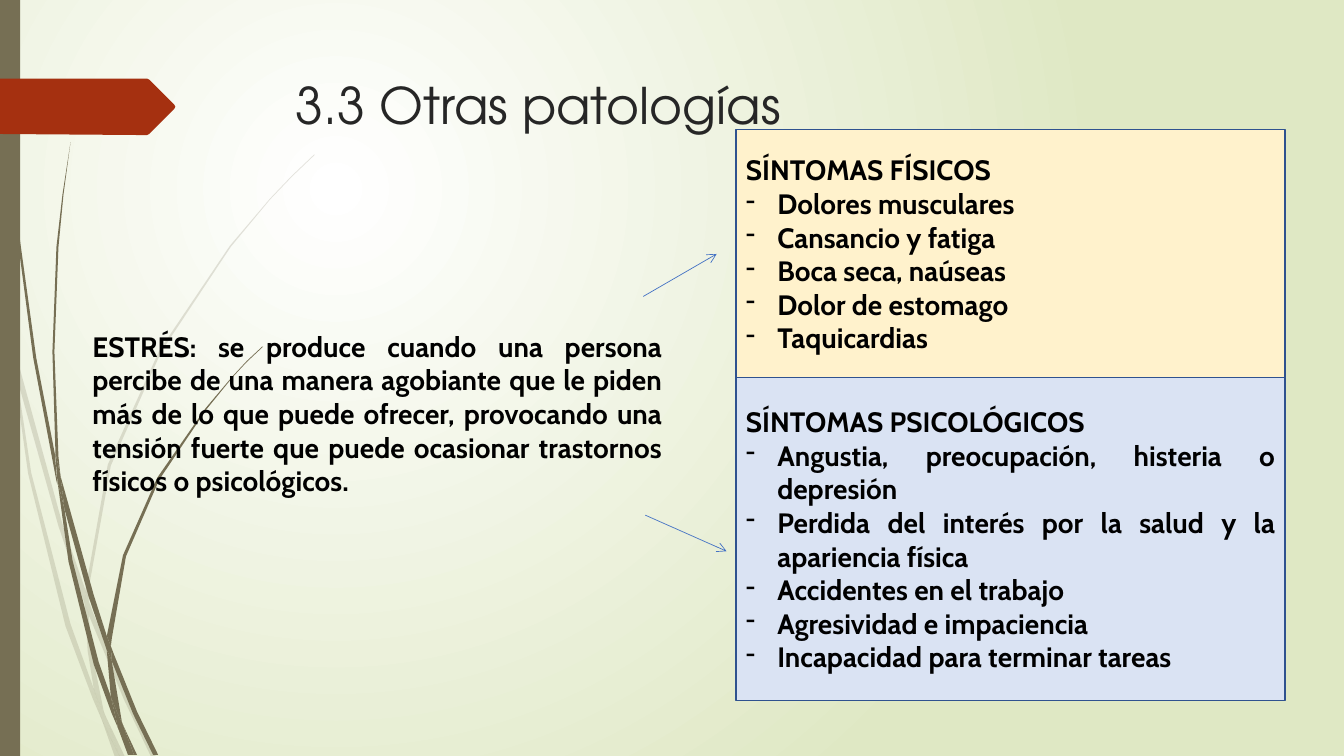
"""Build the slide on stress and its physical and psychological symptoms."""
from dataclasses import dataclass

from lxml.etree import SubElement
from pptx import Presentation
from pptx.dml.color import RGBColor
from pptx.enum.shapes import MSO_CONNECTOR, MSO_SHAPE
from pptx.enum.text import MSO_ANCHOR, MSO_AUTO_SIZE, PP_ALIGN
from pptx.oxml.ns import qn
from pptx.util import Cm, Pt

TITLE = "3.3 Otras patologías"
DEFINITION = (
    "ESTRÉS: se produce cuando una persona percibe de una manera agobiante "
    "que le piden más de lo que puede ofrecer, provocando una tensión fuerte "
    "que puede ocasionar trastornos físicos o psicológicos."
)
PANELS = [
    ("SÍNTOMAS FÍSICOS", "FFF2CC", 6.25, [
        "Dolores musculares",
        "Cansancio y fatiga",
        "Boca seca, naúseas",
        "Dolor de estomago",
        "Taquicardias",
    ]),
    ("SÍNTOMAS PSICOLÓGICOS", "DAE3F3", 8.13, [
        "Angustia, preocupación, histeria o depresión",
        "Perdida del interés por la salud y la apariencia física",
        "Accidentes en el trabajo",
        "Agresividad e impaciencia",
        "Incapacidad para terminar tareas",
    ]),
]
ARROWS = [(16.21, 7.47, 18.06, 6.4), (16.26, 12.98, 18.31, 13.89)]

OUTLINE_UNIT = Cm(0.0254)
PALE_BLADES = [
    [(11, 350), (9, 322), (0, 282), (0, 299), (10, 344)],
    [(58, 522), (84, 599), (85, 586), (62, 520), (14, 345), (17, 376)],
    [(92, 607), (88, 596), (88, 610), (123, 694), (150, 751), (155, 751), (127, 692)],
    [(119, 751), (124, 751), (105, 711)],
    [(93, 683), (70, 619), (31, 469), (17, 376), (11, 350), (28, 470), (65, 621),
     (92, 693), (101, 714), (99, 707)],
    [(84, 599), (87, 646), (93, 683), (96, 692), (105, 711), (103, 706), (91, 646),
     (88, 610), (88, 608)],
    [(88, 584), (110, 462), (160, 349), (229, 245), (268, 198), (290, 175), (312, 154),
     (312, 153), (289, 175), (268, 197), (228, 244), (158, 348), (107, 461), (85, 584),
     (85, 586), (88, 596)],
    [(101, 714), (114, 751), (119, 751)],
    [(88, 608), (88, 610), (88, 596), (85, 586), (84, 599)],
    [(96, 692), (93, 683), (99, 707), (101, 714), (119, 751), (105, 711)],
]
DARK_BLADES = [
    [(7, 110), (17, 233), (33, 355), (56, 477), (57, 481), (55, 457), (55, 453),
     (36, 355), (19, 232), (8, 109), (5, 48), (4, 0), (3, 0), (4, 48)],
    [(88, 592), (106, 645), (106, 633), (106, 631), (93, 590), (60, 472), (64, 505)],
    [(113, 649), (110, 641), (111, 656), (132, 708), (152, 749), (157, 749), (136, 706)],
    [(110, 691), (98, 657), (72, 556), (64, 505), (57, 477), (68, 557), (93, 659),
     (111, 708), (117, 722), (116, 717)],
    [(60, 472), (58, 453), (54, 349), (58, 245), (63, 193), (70, 141), (62, 193),
     (56, 245), (52, 349), (55, 449)],
    [(133, 749), (136, 749), (122, 719)],
    [(57, 477), (64, 505), (60, 472), (55, 449), (55, 453)],
    [(111, 633), (125, 552), (158, 476), (205, 406), (231, 374), (245, 359), (261, 344),
     (260, 344), (245, 358), (231, 373), (204, 405), (156, 474), (122, 551), (106, 631),
     (110, 641)],
    [(117, 722), (127, 749), (131, 749)],
    [(106, 645), (110, 691), (116, 706), (122, 719), (121, 716), (111, 656), (109, 651)],
    [(106, 645), (109, 651), (111, 656), (110, 641), (106, 631), (106, 633)],
    [(116, 706), (110, 691), (116, 717), (117, 722), (130, 749), (133, 749), (122, 719)],
]
BANNER = [(173, 108), (148, 133), (146, 134), (136, 134), (0, 133), (0, 78),
          (136, 78), (146, 78), (148, 79), (173, 104), (174, 106)]


@dataclass(frozen=True)
class Theme:
    """Colours, fonts and type sizes of the slide."""
    title_font: str = "TeX Gyre Adventor"
    body_font: str = "Cabin"
    title_size: int = 36
    body_size: int = 20
    title: str = "262626"
    text: str = "000000"
    glow: str = "FFFFFF"
    ground: str = "DFE8C4"
    olive: str = "766F54"
    banner: str = "A53010"
    border: str = "2F528F"
    arrow: str = "4472C4"


THEME = Theme()


def color(code):
    """Turn a hex code into a colour."""
    return RGBColor.from_string(code)


def paint(shape, fill, border=None):
    """Give a shape a flat fill and an optional border."""
    shape.shadow.inherit = False
    shape.fill.solid()
    shape.fill.fore_color.rgb = color(fill)
    if border:
        shape.line.color.rgb = color(border)
        shape.line.width = Pt(1)
    else:
        shape.line.fill.background()


def style(para, font, size, ink, bold, align):
    """Format a paragraph and its runs."""
    para.alignment = align
    for span in para.runs:
        span.font.name = font
        span.font.size = Pt(size)
        span.font.bold = bold
        span.font.color.rgb = color(ink)


def style_body(para):
    """Format a paragraph as justified bold body text."""
    style(para, THEME.body_font, THEME.body_size, THEME.text, True, PP_ALIGN.JUSTIFY)


def add_outline(page, points, fill):
    """Draw a closed outline given in hundredths of an inch."""
    builder = page.shapes.build_freeform(*points[0], scale=OUTLINE_UNIT)
    builder.add_line_segments(points[1:], close=True)
    shape = builder.convert_to_shape()
    paint(shape, fill)
    return shape


def add_background(page):
    """Fill the page with a radial gradient."""
    fill = page.background.fill
    fill.gradient()
    for stop, code in zip(fill.gradient_stops, (THEME.glow, THEME.ground)):
        stop.color.rgb = color(code)
    gradient = page.element.find(".//" + qn("a:gradFill"))
    gradient.remove(gradient.find(qn("a:lin")))
    circle = SubElement(gradient, qn("a:path"), path="circle")
    SubElement(circle, qn("a:fillToRect"), l="50000", t="50000", r="100000", b="100000")


def add_decoration(page, height):
    """Draw the grass blades, the side bar and the banner."""
    for points in PALE_BLADES:
        blade = add_outline(page, points, THEME.olive)
        tint = blade.element.spPr.find(qn("a:solidFill"))[0]
        SubElement(tint, qn("a:alpha"), val="20000")
    for points in DARK_BLADES:
        add_outline(page, points, THEME.olive)
    bar = page.shapes.add_shape(MSO_SHAPE.RECTANGLE, 0, 0, Cm(0.51), height)
    paint(bar, THEME.olive)
    add_outline(page, BANNER, THEME.banner)


def add_title(page):
    """Place and format the title."""
    box = page.shapes.title
    box.left, box.top, box.width, box.height = Cm(7.2), Cm(1.73), Cm(24.77), Cm(3.56)
    frame = box.text_frame
    frame.text = TITLE
    frame.auto_size = MSO_AUTO_SIZE.NONE
    frame.vertical_anchor = MSO_ANCHOR.TOP
    style(frame.paragraphs[0], THEME.title_font, THEME.title_size, THEME.title,
          False, PP_ALIGN.LEFT)


def add_definition(page):
    """Add the definition of stress."""
    box = page.shapes.add_textbox(Cm(2.08), Cm(8.17), Cm(14.86), Cm(4.52))
    box.text_frame.word_wrap = True
    box.text_frame.text = DEFINITION
    style_body(box.text_frame.paragraphs[0])


def add_panels(page):
    """Stack the symptom panels."""
    top = Cm(3.27)
    for heading, fill, height, symptoms in PANELS:
        panel = page.shapes.add_shape(
            MSO_SHAPE.RECTANGLE, Cm(18.55), top, Cm(13.84), Cm(height))
        paint(panel, fill, THEME.border)
        frame = panel.text_frame
        frame.word_wrap = True
        frame.vertical_anchor = MSO_ANCHOR.MIDDLE
        frame.text = "\n".join([heading, *symptoms])
        for para in frame.paragraphs:
            style_body(para)
        for para in frame.paragraphs[1:]:
            properties = para._p.get_or_add_pPr()
            properties.set("marL", str(Cm(0.79)))
            properties.set("indent", str(-Cm(0.79)))
            SubElement(properties, qn("a:buFontTx"))
            SubElement(properties, qn("a:buChar"), char="-")
        top += Cm(height)


def add_arrows(page):
    """Link the definition to the panels."""
    for ends in ARROWS:
        arrow = page.shapes.add_connector(MSO_CONNECTOR.STRAIGHT, *map(Cm, ends))
        arrow.line.color.rgb = color(THEME.arrow)
        arrow.line.width = Pt(0.5)
        SubElement(arrow.line._get_or_add_ln(), qn("a:tailEnd"), type="arrow")
        SubElement(arrow.element.spPr, qn("a:effectLst"))


def main():
    """Build and save the deck."""
    deck = Presentation()
    deck.slide_width, deck.slide_height = Cm(33.87), Cm(19.05)
    page = deck.slides.add_slide(deck.slide_layouts[5])
    add_background(page)
    add_decoration(page, deck.slide_height)
    add_title(page)
    add_definition(page)
    add_panels(page)
    add_arrows(page)
    deck.save("out.pptx")


if __name__ == "__main__":
    main()
